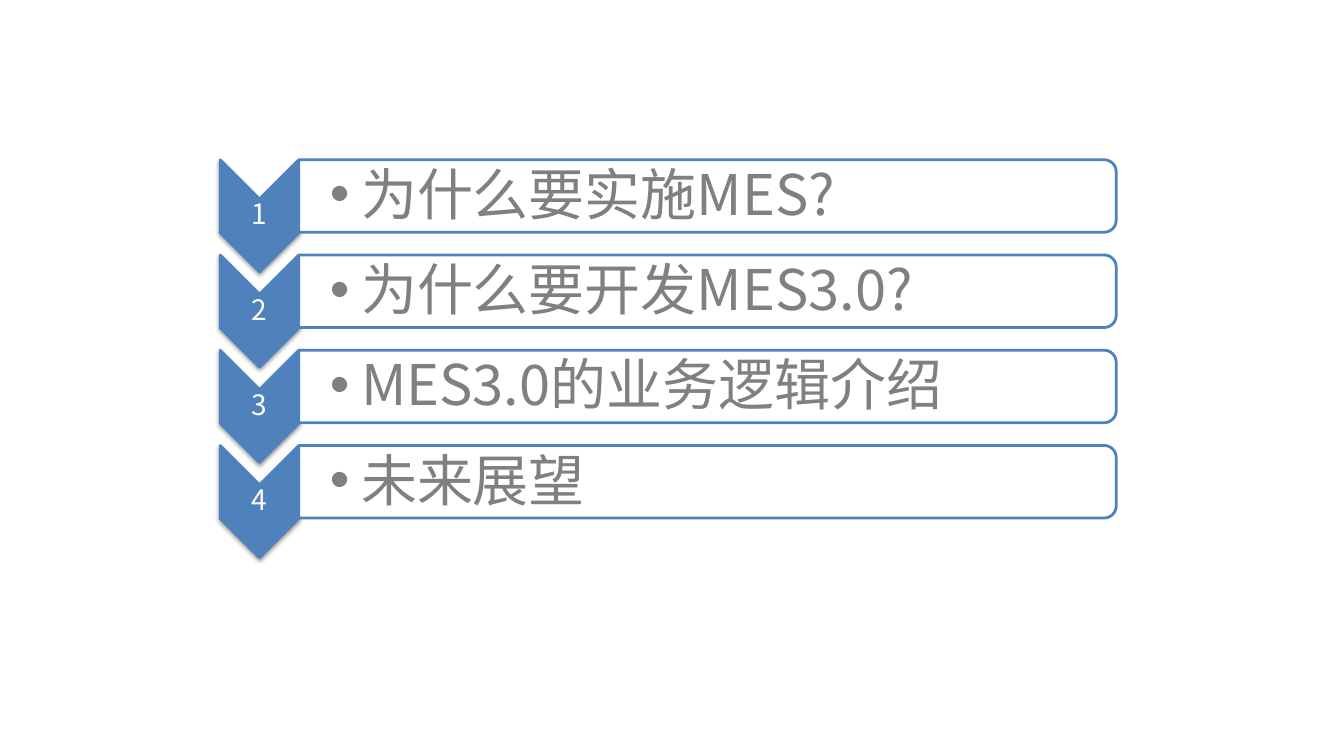
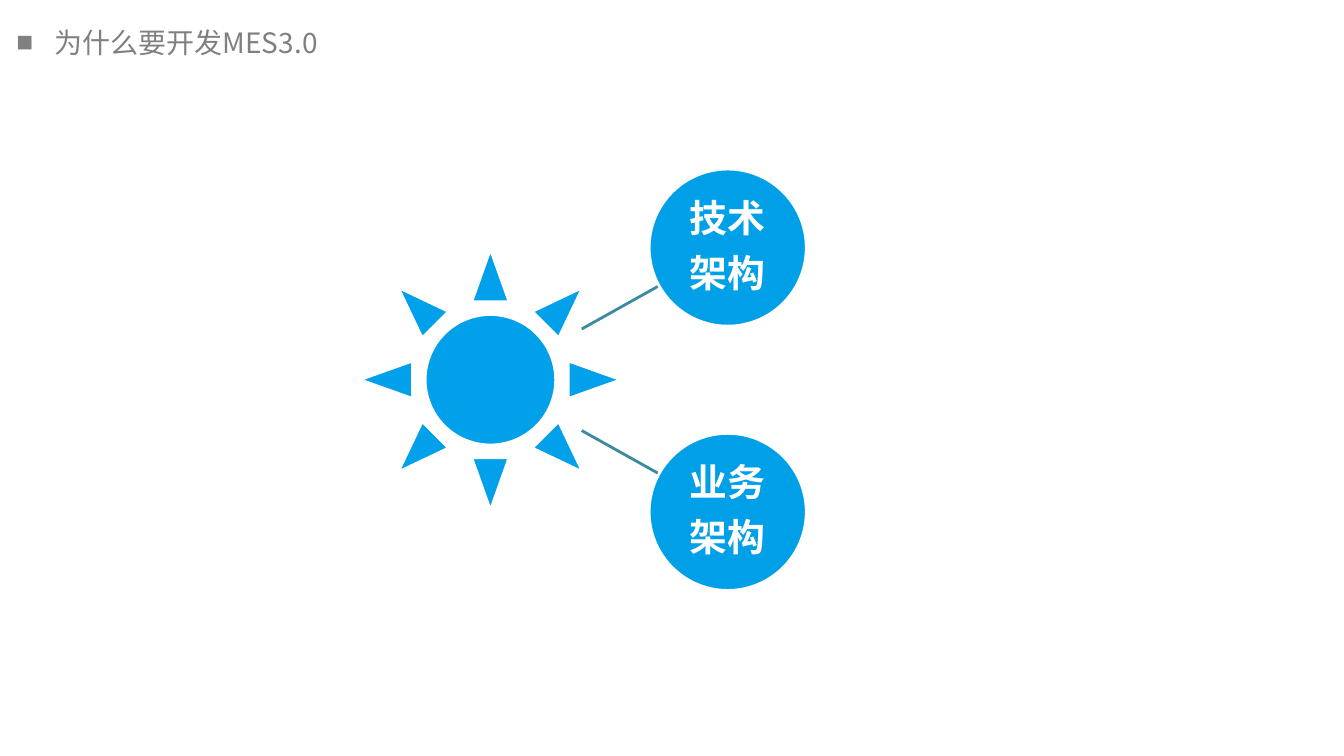
import pptx
import pptx.util
import pptx.dml.color
import pptx.enum.shapes
import pptx.enum.text
import pptx.oxml
import pptx.oxml.ns

Cm = pptx.util.Cm
Pt = pptx.util.Pt
Shape = pptx.enum.shapes.MSO_SHAPE
Align = pptx.enum.text.PP_ALIGN
Anchor = pptx.enum.text.MSO_ANCHOR

FONT = "Noto Sans CJK SC"
COLORS = {
    "white": "FFFFFF",
    "text": "808080",
    "agenda": "4F81BD",
    "sun": "00A0EA",
    "topic": "00A0E9",
    "link": "3C8A9F",
}
AGENDA = ["为什么要实施MES?", "为什么要开发MES3.0?", "MES3.0的业务逻辑介绍", "未来展望"]
TOPICS = [("技术\n架构", -1), ("业务\n架构", 1)]
ROW_PITCH = 2.4
FIRST_ROW = 4.94


def rgb(name):
    return pptx.dml.color.RGBColor.from_string(COLORS[name])


def add_xml(parent, tag, content="", **attributes):
    values = "".join(f' {key}="{value}"' for key, value in attributes.items())
    namespace = pptx.oxml.ns.nsdecls("a")
    element = pptx.oxml.parse_xml(f"<a:{tag} {namespace}{values}>{content}</a:{tag}>")
    parent.append(element)
    return element


def add_bullet(para, char, hang):
    properties = para._p.get_or_add_pPr()
    properties.set("marL", str(Cm(hang)))
    properties.set("indent", str(-Cm(hang)))
    add_xml(properties, "buFont", typeface="Arial")
    add_xml(properties, "buChar", char=char)


def write_text(box, text, size=20, color="text", bold=False, align=Align.LEFT,
               anchor=Anchor.MIDDLE, inset=(0, 0), spacing=0.9, gap=0,
               bullet=None, hang=0):
    frame = box.text_frame
    frame.word_wrap = True
    frame.auto_size = pptx.enum.text.MSO_AUTO_SIZE.NONE
    frame.vertical_anchor = anchor
    frame.margin_left = frame.margin_right = Cm(inset[0])
    frame.margin_top = frame.margin_bottom = Cm(inset[1])
    for index, line in enumerate(text.split("\n")):
        para = frame.add_paragraph() if index else frame.paragraphs[0]
        if bullet:
            add_bullet(para, bullet, hang)
        para.alignment = align
        para.line_spacing = spacing
        para.space_before = Pt(gap if index else 0)
        para.space_after = Pt(0)
        span = para.add_run()
        span.text = line
        span.font.size = Pt(size)
        span.font.bold = bold
        span.font.name = FONT
        span.font.color.rgb = rgb(color)
        add_xml(span.font._element, "ea", typeface=FONT)


def place(box, left, top, width, height):
    box.left, box.top, box.width, box.height = Cm(left), Cm(top), Cm(width), Cm(height)


def add_centered_shape(page, kind, x, y, width, height, fill, line, rotation=0):
    shape = page.shapes.add_shape(
        kind, Cm(x - width / 2), Cm(y - height / 2), Cm(width), Cm(height))
    shape.rotation = rotation
    shape.shadow.inherit = False
    shape.fill.solid()
    shape.fill.fore_color.rgb = rgb(fill)
    shape.line.color.rgb = rgb(line)
    shape.line.width = Pt(2)
    return shape


def add_drop_shadow(shape):
    effects = shape._element.spPr.find(pptx.oxml.ns.qn("a:effectLst"))
    add_xml(effects, "outerShdw",
            '<a:srgbClr val="000000"><a:alpha val="38000"/></a:srgbClr>',
            blurRad=Pt(3.1), dist=Pt(1.6), dir=5400000, rotWithShape=0)


def add_line(page, start, end):
    line = page.shapes.add_connector(
        pptx.enum.shapes.MSO_CONNECTOR.STRAIGHT,
        Cm(start[0]), Cm(start[1]), Cm(end[0]), Cm(end[1]))
    line.line.color.rgb = rgb("link")
    line.line.width = Pt(2)
    add_xml(line._element.spPr, "effectLst")


def add_agenda_row(page, number, y):
    chevron = add_centered_shape(page, Shape.CHEVRON, 6.54, y + 0.5, 2.82, 1.98,
                                 "agenda", "agenda", rotation=90)
    add_drop_shadow(chevron)
    label = page.shapes.add_textbox(Cm(5.55), Cm(y + 0.08), Cm(1.98), Cm(0.84))
    write_text(label, str(number), color="white", align=Align.CENTER)
    add_centered_shape(page, Shape.ROUND_2_SAME_RECTANGLE, 17.83, y, 1.83, 20.6,
                       "white", "agenda", rotation=90)


def build_agenda(deck):
    page = deck.slides.add_slide(deck.slide_layouts[1])
    title = page.shapes.title.element
    title.getparent().remove(title)
    for index in range(len(AGENDA)):
        add_agenda_row(page, index + 1, FIRST_ROW + index * ROW_PITCH)
    body = page.placeholders[1]
    place(body, 8.31, 4.03, 19.66, 9.07)
    write_text(body, "\n".join(AGENDA), size=40, gap=24.9, bullet="•", hang=0.79)
    body.element.getparent().append(body.element)


def build_reasons(deck):
    page = deck.slides.add_slide(deck.slide_layouts[5])
    title = page.shapes.title
    place(title, 0.16, 0.51, 22.83, 1.12)
    write_text(title, "为什么要开发MES3.0", anchor=Anchor.TOP, inset=(0.25, 0.13),
               spacing=1.0, bullet="■", hang=0.96)
    center = 9.57
    for text, side in TOPICS:
        add_line(page, (14.66, center + side * 1.28), (16.61, center + side * 2.37))
    add_centered_shape(page, Shape.SUN, 12.36, center, 6.58, 6.58, "sun", "white")
    for text, side in TOPICS:
        topic = add_centered_shape(page, Shape.OVAL, 18.34, center + side * 3.33,
                                   3.96, 3.96, "topic", "white")
        write_text(topic, text, size=27, color="white", bold=True,
                   align=Align.CENTER, inset=(0.05, 0.05), gap=9.8)


def main():
    deck = pptx.Presentation()
    deck.slide_width, deck.slide_height = Cm(33.87), Cm(19.05)
    build_agenda(deck)
    build_reasons(deck)
    deck.save("out.pptx")


if __name__ == "__main__":
    main()
